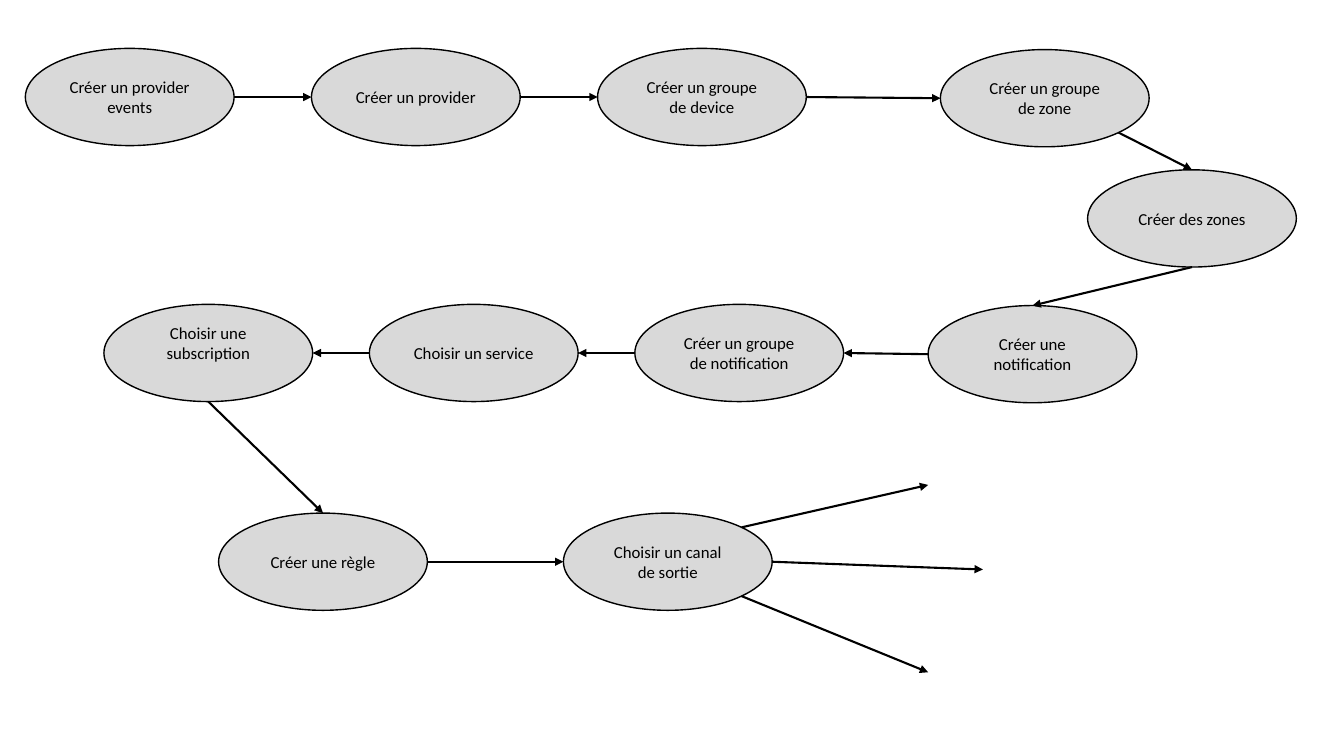
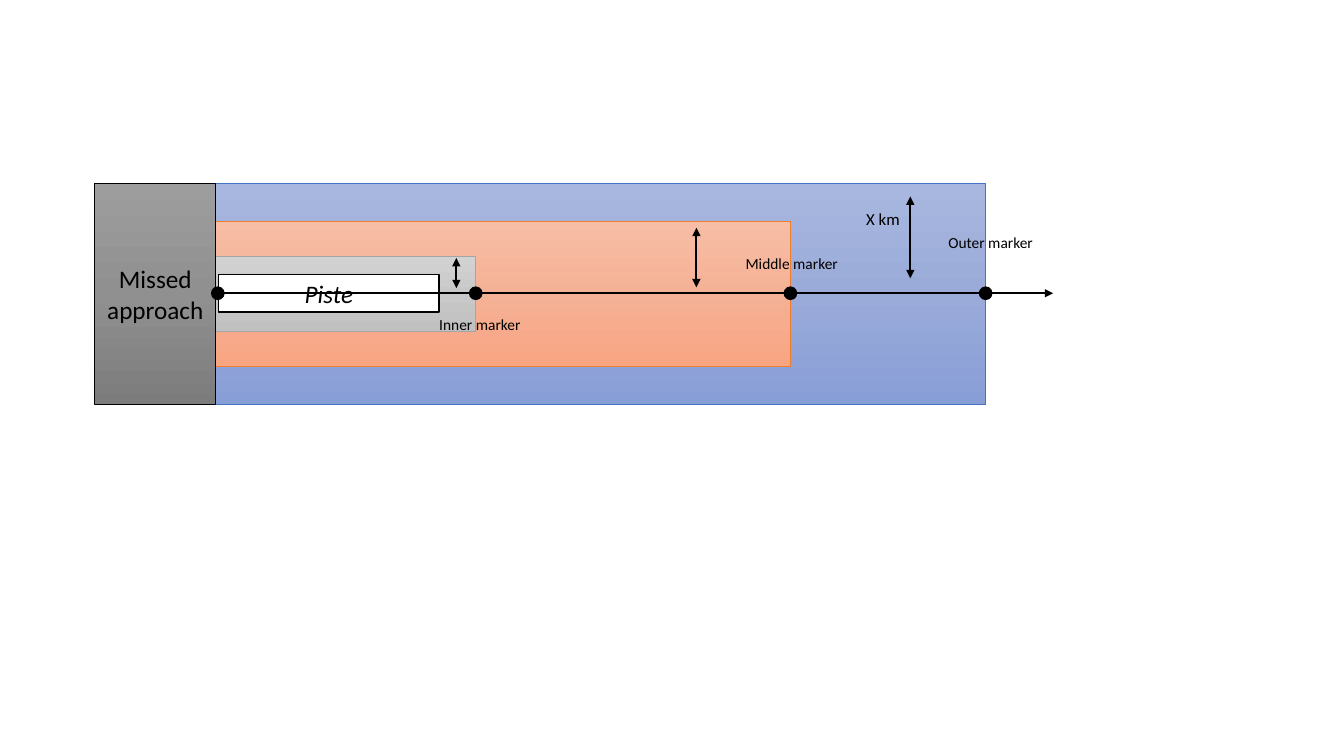
from copy import deepcopy
from dataclasses import dataclass
from typing import Optional

from pptx import Presentation
from pptx import util as u
from pptx.dml import color
from pptx.enum import shapes, text
from pptx.oxml import ns, xmlchemy

# Shared style
FONT = "Calibri"
INK = "000000"
STEP_FILL = "D9D9D9"
RUNWAY_FILL = "FFFFFF"
ELLIPSE = shapes.MSO_SHAPE.OVAL
RECT = shapes.MSO_SHAPE.RECTANGLE

Point = tuple[float, float]


def rgb(value: str) -> color.RGBColor:
    return color.RGBColor.from_string(value)


@dataclass(frozen=True)
class Box:
    left: float
    top: float
    width: float
    height: float

    def lengths(self) -> list[u.Length]:
        return [u.Cm(v) for v in (self.left, self.top, self.width, self.height)]

    def site(self, name: str) -> Point:
        """Point on the ellipse inscribed in this box."""
        across, down = SITES[name]
        return (self.left + self.width * (1 + across) / 2,
                self.top + self.height * (1 + down) / 2)


DIAGONAL = 0.5 ** 0.5
SITES: dict[str, Point] = {
    "top": (0, -1), "bottom": (0, 1), "left": (-1, 0), "right": (1, 0),
    "top right": (DIAGONAL, -DIAGONAL), "bottom right": (DIAGONAL, DIAGONAL),
}


# Drawing functions
def style_text(frame, wording: str, size: float, italic: bool = False,
               align=text.PP_ALIGN.CENTER) -> None:
    frame.text = wording
    for paragraph in frame.paragraphs:
        paragraph.alignment = align
        for run in paragraph.runs:
            run.font.name = FONT
            run.font.size = u.Pt(size)
            run.font.italic = italic
            run.font.color.rgb = rgb(INK)


def draw_shape(slide, kind, box: Box, fills: tuple[str, ...],
               outline: str = INK, weight: float = 1):
    shape = slide.shapes.add_shape(kind, *box.lengths())
    shape.shadow.inherit = False
    shape.line.color.rgb = rgb(outline)
    shape.line.width = u.Pt(weight)
    if len(fills) == 1:
        shape.fill.solid()
        shape.fill.fore_color.rgb = rgb(fills[0])
        return shape
    # Three evenly spaced stops, running from top to bottom
    shape.fill.gradient()
    shape.fill.gradient_angle = 270
    stop_list = shape._element.spPr.find(".//" + ns.qn("a:gsLst"))
    stop_list.insert(1, deepcopy(stop_list[0]))
    for index, (stop, fill) in enumerate(zip(shape.fill.gradient_stops, fills)):
        stop.position = index / 2
        stop.color.rgb = rgb(fill)
    return shape


def draw_arrow(slide, start: Point, end: Point, double: bool = False) -> None:
    arrow = slide.shapes.add_connector(
        shapes.MSO_CONNECTOR.STRAIGHT, *(u.Cm(v) for v in (*start, *end)))
    arrow.line.color.rgb = rgb(INK)
    arrow.line.width = u.Pt(1.5)
    line = arrow.line._get_or_add_ln()
    for tag in ("a:headEnd", "a:tailEnd") if double else ("a:tailEnd",):
        tip = xmlchemy.OxmlElement(tag)
        tip.set("type", "triangle")
        line.append(tip)
    arrow._element.spPr.append(xmlchemy.OxmlElement("a:effectLst"))


def draw_label(slide, wording: str, box: Box, size: float) -> None:
    frame = slide.shapes.add_textbox(*box.lengths()).text_frame
    style_text(frame, wording, size, align=text.PP_ALIGN.LEFT)
    frame.word_wrap = False
    frame.auto_size = text.MSO_AUTO_SIZE.SHAPE_TO_FIT_TEXT


# Slide 1: configuration steps
@dataclass(frozen=True)
class Step:
    wording: str
    left: float
    top: float
    lift: float = 0

    @property
    def box(self) -> Box:
        return Box(self.left, self.top, 5.26, 2.45)


@dataclass(frozen=True)
class Link:
    source: str
    leaves: str
    target: str
    enters: str


TOP_LEFT, TOP_PITCH, TOP_ROW = 0.64, 7.21, 1.22
MIDDLE_LEFT, MIDDLE_PITCH, MIDDLE_ROW = 2.62, 6.69, 7.67
BOTTOM_ROW = 12.93

STEPS = {
    "events": Step("Créer un provider events", TOP_LEFT, TOP_ROW),
    "provider": Step("Créer un provider", TOP_LEFT + TOP_PITCH, TOP_ROW),
    "devices": Step("Créer un groupe de device", TOP_LEFT + 2 * TOP_PITCH, TOP_ROW),
    "zone group": Step("Créer un groupe de zone", 23.7, 1.25),
    "zones": Step("Créer des zones", 27.41, 4.28),
    "notification": Step("Créer une notification", 23.39, 7.7),
    "notification group": Step("Créer un groupe de notification",
                               MIDDLE_LEFT + 2 * MIDDLE_PITCH, MIDDLE_ROW),
    "service": Step("Choisir un service", MIDDLE_LEFT + MIDDLE_PITCH, MIDDLE_ROW),
    "subscription": Step("Choisir une subscription", MIDDLE_LEFT, MIDDLE_ROW, lift=0.51),
    "rule": Step("Créer une règle", 5.51, BOTTOM_ROW),
    "output": Step("Choisir un canal de sortie", 14.2, BOTTOM_ROW),
}

LINKS = [
    Link("events", "right", "provider", "left"),
    Link("provider", "right", "devices", "left"),
    Link("devices", "right", "zone group", "left"),
    Link("zone group", "bottom right", "zones", "top"),
    Link("zones", "bottom", "notification", "top"),
    Link("notification", "left", "notification group", "right"),
    Link("notification group", "left", "service", "right"),
    Link("service", "left", "subscription", "right"),
    Link("subscription", "bottom", "rule", "top"),
    Link("rule", "right", "output", "left"),
]

OUTPUT_ENDS: dict[str, Point] = {
    "top right": (23.39, 12.22),
    "right": (24.77, 14.35),
    "bottom right": (23.39, 16.94),
}


def build_steps(slide) -> None:
    for step in STEPS.values():
        ellipse = draw_shape(slide, ELLIPSE, step.box, (STEP_FILL,))
        frame = ellipse.text_frame
        style_text(frame, step.wording, 12)
        if step.lift:
            frame.margin_top = 0
            frame.margin_bottom = u.Cm(step.lift)
    for link in LINKS:
        draw_arrow(slide, STEPS[link.source].box.site(link.leaves),
                   STEPS[link.target].box.site(link.enters))
    for leaves, end in OUTPUT_ENDS.items():
        draw_arrow(slide, STEPS["output"].box.site(leaves), end)


# Slide 2: approach zones around the runway
@dataclass(frozen=True)
class Zone:
    width: float
    height: float
    fills: tuple[str, str, str]
    outline: str


@dataclass(frozen=True)
class Label:
    wording: str
    box: Box
    size: float = 11


@dataclass(frozen=True)
class Span:
    x: float
    top: float
    bottom: float


THRESHOLD = 5.44
ZONE_MIDDLE = 7.41
AXIS = 7.39
AXIS_END = 26.54
DOT = 0.31

ZONES = [
    Zone(19.4, 5.58, ("A8B7DF", "9AABD9", "889ED7"), "4472C4"),
    Zone(14.48, 3.66, ("F7BDA5", "F5B196", "F8A582"), "ED7D31"),
    Zone(6.55, 1.88, ("D2D2D2", "C8C8C8", "C0C0C0"), "A5A5A5"),
]
MISSED_FILLS = ("9D9D9D", "909090", "7C7C7C")

LABELS = [
    Label("Outer marker", Box(23.65, 5.74, 2.67, 0.73)),
    Label("Inner marker", Box(10.82, 7.82, 2.59, 0.73)),
    Label("Middle marker", Box(18.54, 6.27, 2.87, 0.73)),
    Label("X km", Box(21.58, 5.14, 1.37, 0.77), 12),
]

HALF_WIDTHS = [
    Span(22.94, 4.95, 7.01),
    Span(17.55, 5.74, 7.24),
    Span(11.5, 6.5, 7.26),
]


def build_approach(slide) -> None:
    # Nested zones
    for zone in ZONES:
        area = Box(THRESHOLD, ZONE_MIDDLE - zone.height / 2, zone.width, zone.height)
        draw_shape(slide, RECT, area, zone.fills, zone.outline, 0.5)

    # Runway and missed approach
    runway = draw_shape(slide, RECT, Box(5.51, 6.92, 5.56, 0.94), (RUNWAY_FILL,))
    style_text(runway.text_frame, "Piste", 18, italic=True)
    outer = ZONES[0]
    missed = draw_shape(
        slide, RECT, Box(2.39, ZONE_MIDDLE - outer.height / 2, 3.05, outer.height),
        MISSED_FILLS, weight=0.5)
    style_text(missed.text_frame, "Missed approach", 18)

    # Markers on the axis
    for x in (THRESHOLD + 0.05, *(THRESHOLD + zone.width for zone in ZONES)):
        draw_shape(slide, ELLIPSE, Box(x - DOT / 2, AXIS - DOT / 2, DOT, DOT), (INK,))
    draw_arrow(slide, (THRESHOLD + 0.17, AXIS), (AXIS_END, AXIS))

    # Half-widths and labels
    for span in HALF_WIDTHS:
        draw_arrow(slide, (span.x, span.top), (span.x, span.bottom), double=True)
    for label in LABELS:
        draw_label(slide, label.wording, label.box, label.size)


# Presentation
deck = Presentation()
deck.slide_width, deck.slide_height = u.Cm(33.87), u.Cm(19.05)
blank_layout = deck.slide_layouts[6]
for build in (build_steps, build_approach):
    build(deck.slides.add_slide(blank_layout))
deck.save("out.pptx")
